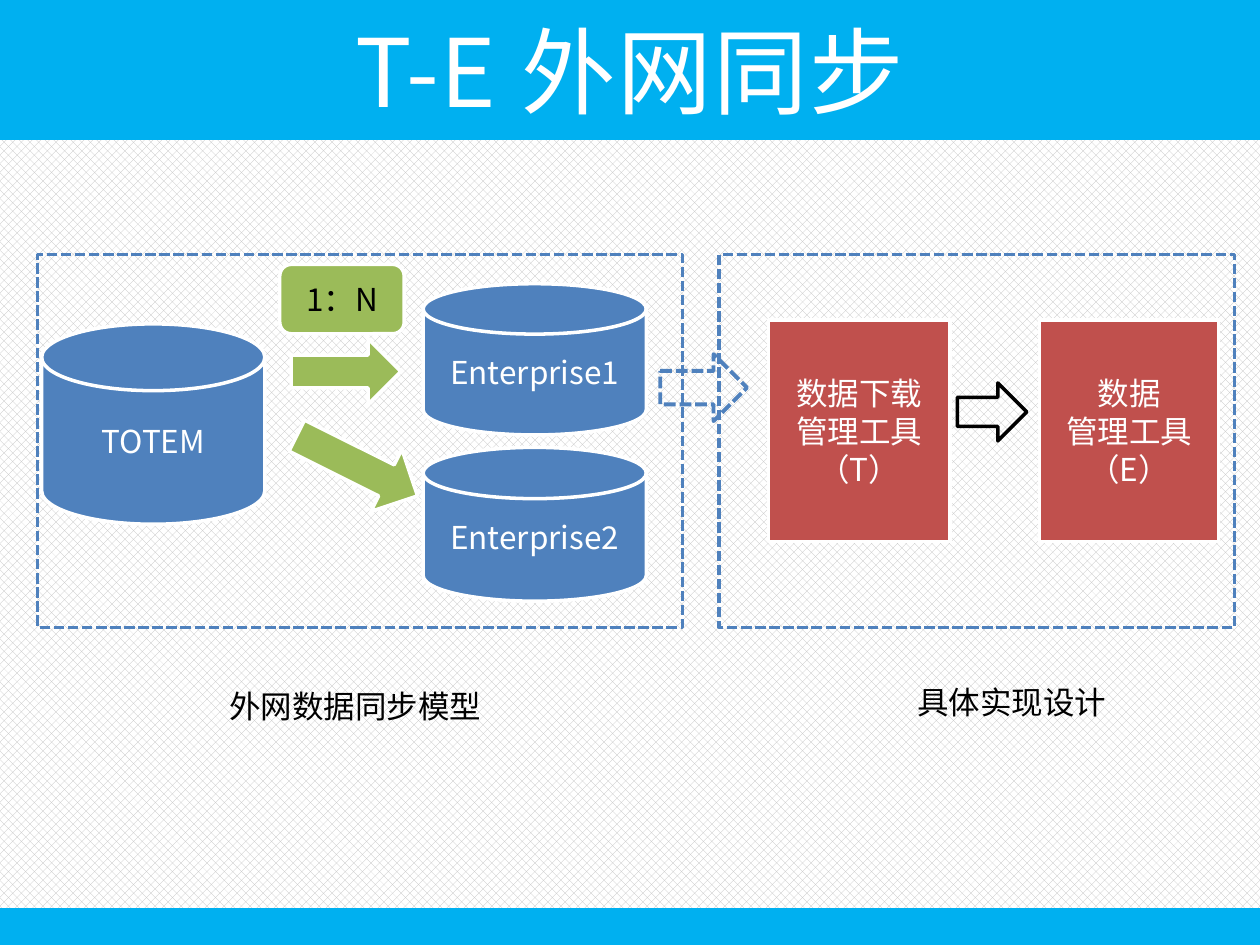
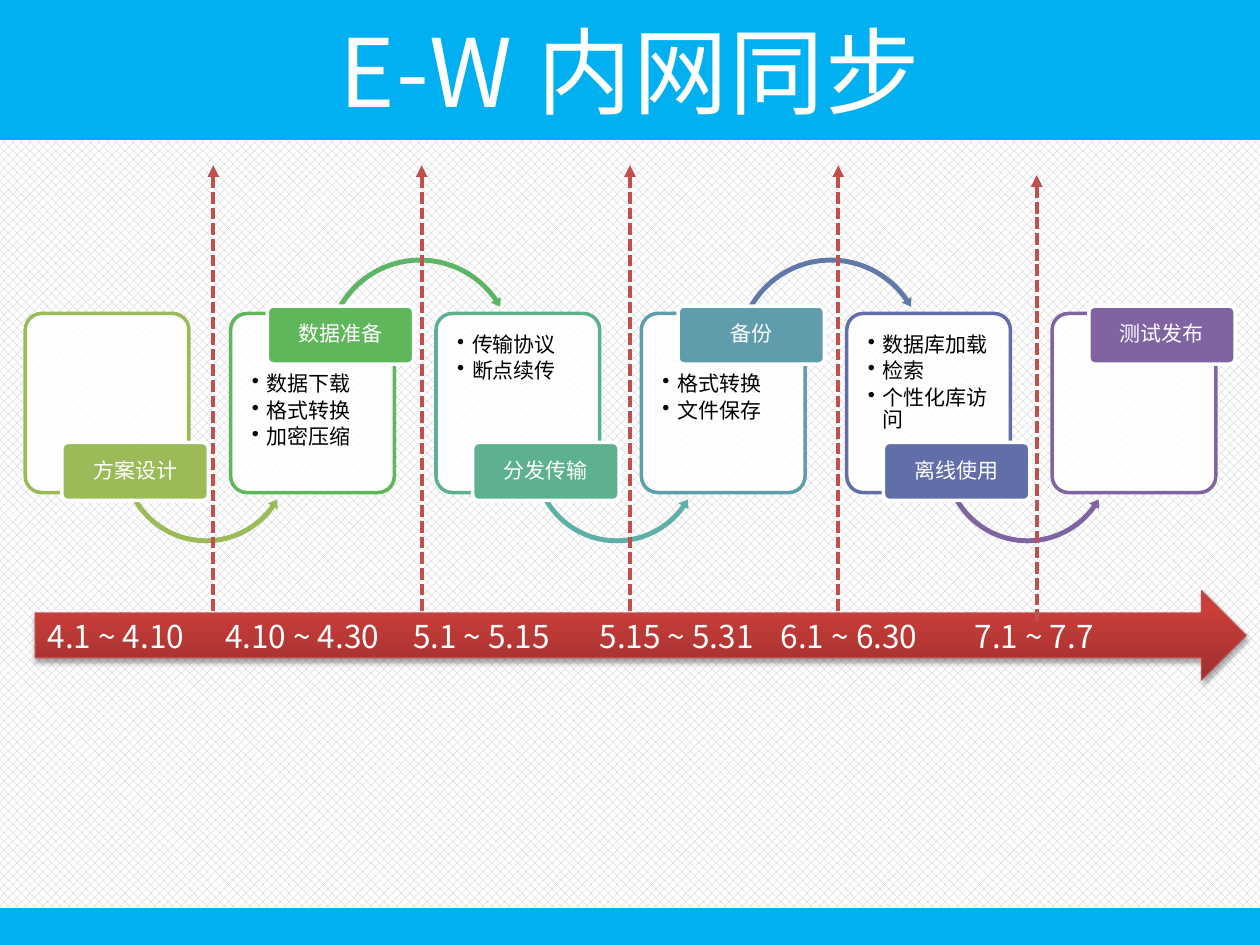
import pptx
import pptx.util
from lxml import etree
from pptx.dml.color import RGBColor
from pptx.enum.dml import MSO_LINE, MSO_PATTERN
from pptx.enum.shapes import MSO_CONNECTOR, MSO_SHAPE
from pptx.enum.text import MSO_ANCHOR, MSO_AUTO_SIZE, PP_ALIGN
from pptx.oxml.ns import qn
from pptx.util import Cm, Pt

SKY, BLUE, GREEN, RED = "00B0F0", "4F81BD", "9BBB59", "C0504D"
WHITE, BLACK = "FFFFFF", "000000"
TITLE_FONT, BODY_FONT = "Noto Sans CJK JP", "Noto Sans CJK SC"
rgb = RGBColor.from_string


def write(tf, text, size=18, color=WHITE, align=PP_ALIGN.CENTER, font=BODY_FONT):
    """Fill a text frame, one paragraph per line, in one Latin and East Asian font."""
    tf.text = text
    for p in tf.paragraphs:
        p.alignment = align
        p.font.size = Pt(size)
        p.font.name = font
        p.font.color.rgb = rgb(color)
        ea = etree.SubElement(p._p.pPr.find(qn("a:defRPr")), qn("a:ea"))
        ea.set("typeface", font)


def add_shape(s, kind, box, fill=None, line=WHITE, width=2, dash=None, text=""):
    """Add a flat shape; box is left, top, width, height in centimetres."""
    sp = s.shapes.add_shape(kind, *[Cm(v) for v in box])
    sp.shadow.inherit = False
    if fill:
        sp.fill.solid()
        sp.fill.fore_color.rgb = rgb(fill)
    else:
        sp.fill.background()
    if line:
        sp.line.color.rgb = rgb(line)
        sp.line.width = Pt(width)
        sp.line.dash_style = dash
    else:
        sp.line.fill.background()
    if text:
        write(sp.text_frame, text)
    return sp


prs = pptx.Presentation()
prs.slide_width, prs.slide_height = Cm(25.4), Cm(19.05)

# Shared background, title band and bottom band
bg = prs.slide_master.background.fill
bg.patterned()
bg.pattern = MSO_PATTERN.PERCENT_50
bg.fore_color.rgb = rgb("BFBFBF")
bg.back_color.rgb = rgb(WHITE)

slides = []
for title in ("T-E 外网同步", "E-W 内网同步"):
    s = prs.slides.add_slide(prs.slide_layouts[5])
    sp = s.shapes.title
    sp.left, sp.top, sp.width, sp.height = 0, 0, Cm(25.4), Cm(2.79)
    sp.fill.solid()
    sp.fill.fore_color.rgb = rgb(SKY)
    sp.line.color.rgb = rgb(SKY)
    sp.line.width = Pt(1.5)
    tf = sp.text_frame
    write(tf, title, 54, font=TITLE_FONT)
    tf.auto_size = MSO_AUTO_SIZE.NONE
    tf.vertical_anchor = MSO_ANCHOR.MIDDLE
    tf.paragraphs[0]._p.pPr.find(qn("a:defRPr")).set("spc", "100")
    add_shape(s, MSO_SHAPE.RECTANGLE, (0, 18.31, 25.4, 0.74), SKY, None)
    slides.append(s)

# Slide 1: synchronisation model and its implementation
s = slides[0]
DISK, ARROW = MSO_SHAPE.FLOWCHART_MAGNETIC_DISK, MSO_SHAPE.RIGHT_ARROW
add_shape(s, DISK, (0.84, 6.53, 4.5, 4.04), BLUE, text="TOTEM")
add_shape(s, ARROW, (5.87, 6.83, 2.21, 1.32), GREEN)
add_shape(s, ARROW, (5.84, 8.69, 2.72, 1.4), GREEN).rotation = 26.5
add_shape(s, DISK, (8.53, 5.72, 4.5, 3.05), BLUE, text="Enterprise1")
add_shape(s, DISK, (8.53, 9.02, 4.5, 3.1), BLUE, text="Enterprise2")
ratio = add_shape(s, MSO_SHAPE.ROUNDED_RECTANGLE, (5.64, 5.33, 2.51, 1.4), GREEN)
write(ratio.text_frame, "1：N", color=BLACK)

for left, width, text in ((15.49, 3.66, "数据下载\n管理工具\n（T）"),
                          (20.96, 3.61, "数据\n管理工具\n（E）")):
    add_shape(s, MSO_SHAPE.RECTANGLE, (left, 6.45, width, 4.47), RED, text=text)
add_shape(s, ARROW, (19.3, 7.72, 1.4, 1.17), line=BLACK)
add_shape(s, ARROW, (13.31, 7.14, 1.75, 1.35), line=BLUE, width=2.25,
          dash=MSO_LINE.SQUARE_DOT)
for left, width in ((0.76, 13), (14.5, 10.39)):
    add_shape(s, MSO_SHAPE.RECTANGLE, (left, 5.13, width, 7.52), line=BLUE,
              dash=MSO_LINE.SQUARE_DOT)

for left, top, width, text in ((4.37, 13.72, 5.64, "外网数据同步模型"),
                               (18.24, 13.64, 4.37, "具体实现设计")):
    tf = s.shapes.add_textbox(Cm(left), Cm(top), Cm(width), Cm(1.02)).text_frame
    tf.word_wrap = False
    tf.auto_size = MSO_AUTO_SIZE.SHAPE_TO_FIT_TEXT
    write(tf, text, color=BLACK, align=PP_ALIGN.LEFT)

# Slide 2: six steps, tags alternating between bottom and top
s = slides[1]
steps = [
    ("方案设计", GREEN, GREEN, ""),
    ("数据准备", "5FB65B", "5CB565", "数据下载\n格式转换\n加密压缩"),
    ("分发传输", "5DB18E", "5EAFA6", "传输协议\n断点续传"),
    ("备份", "5F9DAC", "6179A8", "格式转换\n文件保存"),
    ("离线使用", "626EA7", "8064A2", "数据库加载\n检索\n个性化库访问"),
    ("测试发布", "8064A2", None, ""),
]
for i, (name, color, arrow_color, items) in enumerate(steps):
    x = 0.51 + 4.14 * i
    tag_on_top = i % 2 == 1

    card = add_shape(s, MSO_SHAPE.ROUNDED_RECTANGLE, (x, 6.32, 3.3, 3.61), WHITE, color)
    card.adjustments[0] = 0.1
    white = card._element.spPr.find(qn("a:solidFill"))[0]
    etree.SubElement(white, qn("a:alpha")).set("val", "90000")
    if items:
        tf = card.text_frame
        tf.vertical_anchor = MSO_ANCHOR.TOP
        tf.margin_left = tf.margin_right = Cm(0.33)
        tf.margin_top = Cm(1.12 if tag_on_top else 0.33)
        write(tf, items, 12, BLACK, PP_ALIGN.LEFT)
        for p in tf.paragraphs:
            p.line_spacing = 0.9
            p.space_after = Pt(2)
            pPr = p._p.pPr
            pPr.set("marL", str(Cm(0.3)))
            pPr.set("indent", str(-Cm(0.3)))
            bullet = etree.Element(qn("a:buChar"))
            bullet.set("char", "•")
            pPr.find(qn("a:defRPr")).addprevious(bullet)

    if arrow_color:
        if tag_on_top:
            kind, box = MSO_SHAPE.CIRCULAR_ARROW, (x + 1.85, 5.13, 3.94, 3.94)
            bends = (0.025, 3.041, 195.204, 125.755, 0.029)
        else:
            kind, box = MSO_SHAPE.LEFT_CIRCULAR_ARROW, (x + 1.88, 7.49, 3.53, 3.53)
            bends = (0.028, 3.43, 21.185, 90.245, 0.033)
        arrow = add_shape(s, kind, box, arrow_color, None)
        for k, bend in enumerate(bends):
            arrow.adjustments[k] = bend

    tag = add_shape(s, MSO_SHAPE.ROUNDED_RECTANGLE,
                    (x + 0.74, 6.17 if tag_on_top else 8.92, 2.95, 1.17), color)
    tag.adjustments[0] = 0.1
    tf = tag.text_frame
    tf.margin_left = tf.margin_right = Cm(0.08)
    tf.margin_top = tf.margin_bottom = Cm(0.05)
    write(tf, name, 12)
    tf.paragraphs[0].line_spacing = 0.9

# Timeline arrow with the dates on tab stops
dates = ("4.1 ~ 4.10", "4.10 ~ 4.30", "5.1 ~ 5.15", "5.15 ~ 5.31", "6.1 ~ 6.30", "7.1 ~ 7.7")
timeline = add_shape(s, ARROW, (0.71, 11.91, 24.41, 1.8), RED, "BF4C48", 0.75)
timeline.fill.gradient()
timeline.fill.gradient_angle = 90
for stop, (position, color) in zip(timeline.fill.gradient_stops,
                                   ((0, "9C2F2D"), (0.8, "CB3E3A"))):
    stop.position = position
    stop.color.rgb = rgb(color)
effects = timeline._element.spPr.find(qn("a:effectLst"))
shadow = etree.SubElement(effects, qn("a:outerShdw"), blurRad=str(Pt(3.1)),
                          dist=str(Pt(1.8)), dir="5400000", rotWithShape="0")
black = etree.SubElement(shadow, qn("a:srgbClr"), val=BLACK)
etree.SubElement(black, qn("a:alpha"), val="35000")
write(timeline.text_frame, "\t".join(dates), align=PP_ALIGN.LEFT)
tabs = etree.Element(qn("a:tabLst"))
for stop in (3.58, 7.37, 11.13, 14.78, 18.69):
    etree.SubElement(tabs, qn("a:tab"), pos=str(Cm(stop)), algn="l")
timeline.text_frame.paragraphs[0]._p.pPr.find(qn("a:defRPr")).addprevious(tabs)

# Dashed dividers between the periods
for x, top in ((4.3, 3.33), (8.5, 3.33), (12.7, 3.33), (16.9, 3.33), (20.9, 3.53)):
    divider = s.shapes.add_connector(MSO_CONNECTOR.STRAIGHT, Cm(x), Cm(top), Cm(x), Cm(top + 8.99))
    divider.line.color.rgb = rgb(RED)
    divider.line.width = Pt(2.25)
    divider.line.dash_style = MSO_LINE.SQUARE_DOT
    etree.SubElement(divider.line._get_or_add_ln(), qn("a:headEnd"), type="triangle")
    etree.SubElement(divider._element.spPr, qn("a:effectLst"))

prs.save("out.pptx")
